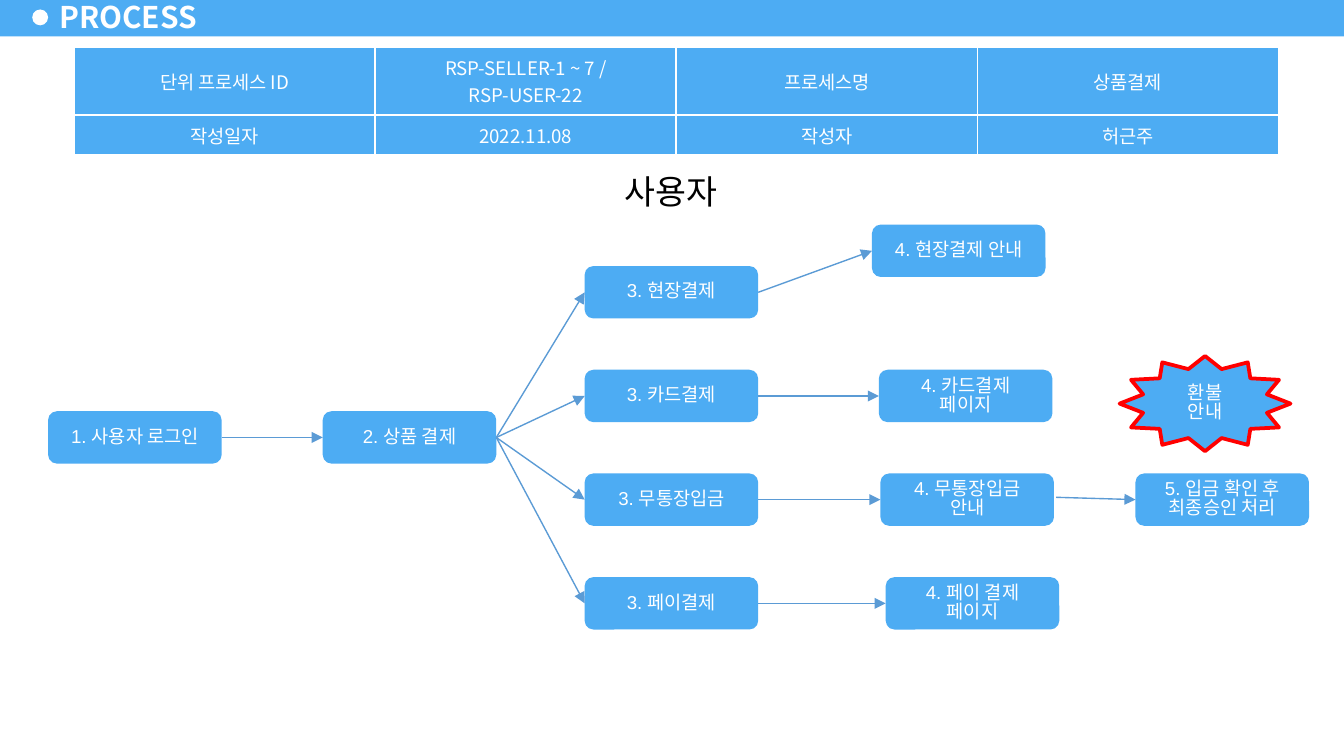
from lxml import etree
from pptx import Presentation
from pptx.dml.color import RGBColor
from pptx.enum.shapes import MSO_CONNECTOR, MSO_SHAPE
from pptx.enum.text import MSO_ANCHOR, PP_ALIGN
from pptx.oxml.ns import qn
from pptx.util import Cm, Pt

RECT, OVAL = MSO_SHAPE.RECTANGLE, MSO_SHAPE.OVAL
ROUNDED, STAR = MSO_SHAPE.ROUNDED_RECTANGLE, MSO_SHAPE.STAR_12_POINT
STRAIGHT = MSO_CONNECTOR.STRAIGHT
CENTER, LEFT = PP_ALIGN.CENTER, PP_ALIGN.LEFT
MIDDLE, TOP = MSO_ANCHOR.MIDDLE, MSO_ANCHOR.TOP

KOREAN, LATIN = "Noto Sans CJK KR", "Arial"
BLUE, ARROW, WHITE, BLACK, RED = "4DACF3", "5B9BD5", "FFFFFF", "000000", "FF0000"
BOX_WIDTH, BOX_HEIGHT = 3.28, 0.99
FIRST_ROW, ROW_STEP = 5.03, 1.96
LEFT_SIDE, RIGHT_SIDE = 1, 3
TIGHT = 0.85

INFO = [
    ["단위 프로세스 ID", "RSP-SELLER-1 ~ 7 /\nRSP-USER-22", "프로세스명", "상품결제"],
    ["작성일자", "2022.11.08", "작성자", "허근주"],
]
INFO_ROW_HEIGHTS = [1.12, 0.71]
INFO_COLUMN_WIDTH = 5.69

# name: (text, left in cm, row of the branch grid)
STEPS = {
    "login": ("1. 사용자 로그인", 0.91, 1.4),
    "order": ("2. 상품 결제", 6.1, 1.4),
    "onsite": ("3. 현장결제", 11.05, 0),
    "card": ("3. 카드결제", 11.05, 1),
    "transfer": ("3. 무통장입금", 11.05, 2),
    "pay": ("3. 페이결제", 11.05, 3),
    "onsite guide": ("4. 현장결제 안내", 16.48, -0.4),
    "card page": ("4. 카드결제 페이지", 16.61, 1),
    "transfer guide": ("4. 무통장입금 안내", 16.64, 2),
    "pay page": ("4. 페이 결제 페이지", 16.74, 3),
    "approval": ("5. 입금 확인 후 최종승인 처리", 21.46, 2),
}
ARROWS = [
    ("login", "order"),
    ("order", "onsite"), ("order", "card"), ("order", "transfer"), ("order", "pay"),
    ("onsite", "onsite guide"), ("card", "card page"),
    ("transfer", "transfer guide"), ("pay", "pay page"),
]


def color(value):
    return RGBColor.from_string(value)


def write(frame, text, size=10, ink=WHITE, latin=KOREAN, bold=False,
          align=CENTER, anchor=MIDDLE, spacing=None):
    frame.word_wrap = True
    frame.vertical_anchor = anchor
    for index, line in enumerate(text.split("\n")):
        para = frame.add_paragraph() if index else frame.paragraphs[0]
        para.alignment = align
        para.line_spacing = spacing
        span = para.add_run()
        span.text = line
        for name, value in {"size": Pt(size), "bold": bold, "name": latin}.items():
            setattr(span.font, name, value)
        span.font.color.rgb = color(ink)
        east_asian = etree.SubElement(span.font._element, qn("a:ea"))
        east_asian.set("typeface", KOREAN)


def add_box(page, kind, place, fill, line=None, line_width=2):
    box = page.shapes.add_shape(kind, *map(Cm, place))
    box.shadow.inherit = False
    box.fill.solid()
    box.fill.fore_color.rgb = color(fill)
    if line:
        box.line.color.rgb = color(line)
        box.line.width = Pt(line_width)
    else:
        box.line.fill.background()
    return box


def add_arrow(page, target, source=None, start=(0, 0)):
    """Point at the target's left side, from a source box or a free start in cm."""
    arrow = page.shapes.add_connector(STRAIGHT, *map(Cm, start + start))
    if source is not None:
        arrow.begin_connect(source, RIGHT_SIDE)
    arrow.end_connect(target, LEFT_SIDE)
    arrow.line.color.rgb = color(ARROW)
    arrow.line.width = Pt(0.75)
    etree.SubElement(arrow.line._get_or_add_ln(), qn("a:tailEnd")).set("type", "triangle")
    etree.SubElement(arrow._element.spPr, qn("a:effectLst"))


def add_border(cell):
    """Give all four sides a thin white line, placed before the cell's fill."""
    properties = cell._tc.get_or_add_tcPr()
    for index, side in enumerate(("lnL", "lnR", "lnT", "lnB")):
        edge = etree.Element(qn("a:" + side), w=str(Pt(1)))
        fill = etree.SubElement(edge, qn("a:solidFill"))
        etree.SubElement(fill, qn("a:srgbClr")).set("val", WHITE)
        properties.insert(index, edge)


def add_header(page):
    add_box(page, RECT, (0, 0, 25.4, 0.69), BLUE)
    add_box(page, OVAL, (0.61, 0.18, 0.3, 0.3), WHITE)
    title = page.shapes.title
    page.shapes._spTree.append(title._element)
    for name, value in {"left": 0.89, "top": -0.1, "width": 3.1, "height": 0.81}.items():
        setattr(title, name, Cm(value))
    frame = title.text_frame
    frame.margin_left = frame.margin_right = Cm(0.23)
    frame.margin_top = frame.margin_bottom = Cm(0.1)
    write(frame, "PROCESS", size=16, bold=True, align=LEFT)


def add_info_table(page):
    columns = len(INFO[0])
    place = (1.4, 0.9, INFO_COLUMN_WIDTH * columns, sum(INFO_ROW_HEIGHTS))
    table = page.shapes.add_table(len(INFO), columns, *map(Cm, place)).table
    for column in table.columns:
        column.width = Cm(INFO_COLUMN_WIDTH)
    for row, height, texts in zip(table.rows, INFO_ROW_HEIGHTS, INFO):
        row.height = Cm(height)
        for cell, text in zip(row.cells, texts):
            cell.fill.solid()
            cell.fill.fore_color.rgb = color(BLUE)
            add_border(cell)
            cell.vertical_anchor = MIDDLE
            write(cell.text_frame, text)


def add_flow(page):
    boxes = {}
    for name, (text, left, row) in STEPS.items():
        top = FIRST_ROW + ROW_STEP * row
        boxes[name] = add_box(page, ROUNDED, (left, top, BOX_WIDTH, BOX_HEIGHT), BLUE)
        write(boxes[name].text_frame, text, latin=LATIN, spacing=TIGHT)
    for source, target in ARROWS:
        add_arrow(page, boxes[target], boxes[source])
    add_arrow(page, boxes["approval"], start=(19.96, 9.4))


def main():
    deck = Presentation()
    deck.slide_width, deck.slide_height = Cm(25.4), Cm(14.29)
    page = deck.slides.add_slide(deck.slide_layouts[5])
    add_header(page)
    heading = add_box(page, RECT, (8.15, 3.23, 9.07, 1.04), WHITE)
    write(heading.text_frame, "사용자", size=18, ink=BLACK, anchor=TOP, spacing=TIGHT)
    add_info_table(page)
    add_flow(page)
    refund = add_box(page, STAR, (21.16, 6.73, 3.23, 1.8), BLUE, RED)
    frame = refund.text_frame
    for side in ("left", "right", "top", "bottom"):
        setattr(frame, "margin_" + side, 0)
    write(frame, "환불\n안내", spacing=TIGHT)
    deck.save("out.pptx")


if __name__ == "__main__":
    main()
